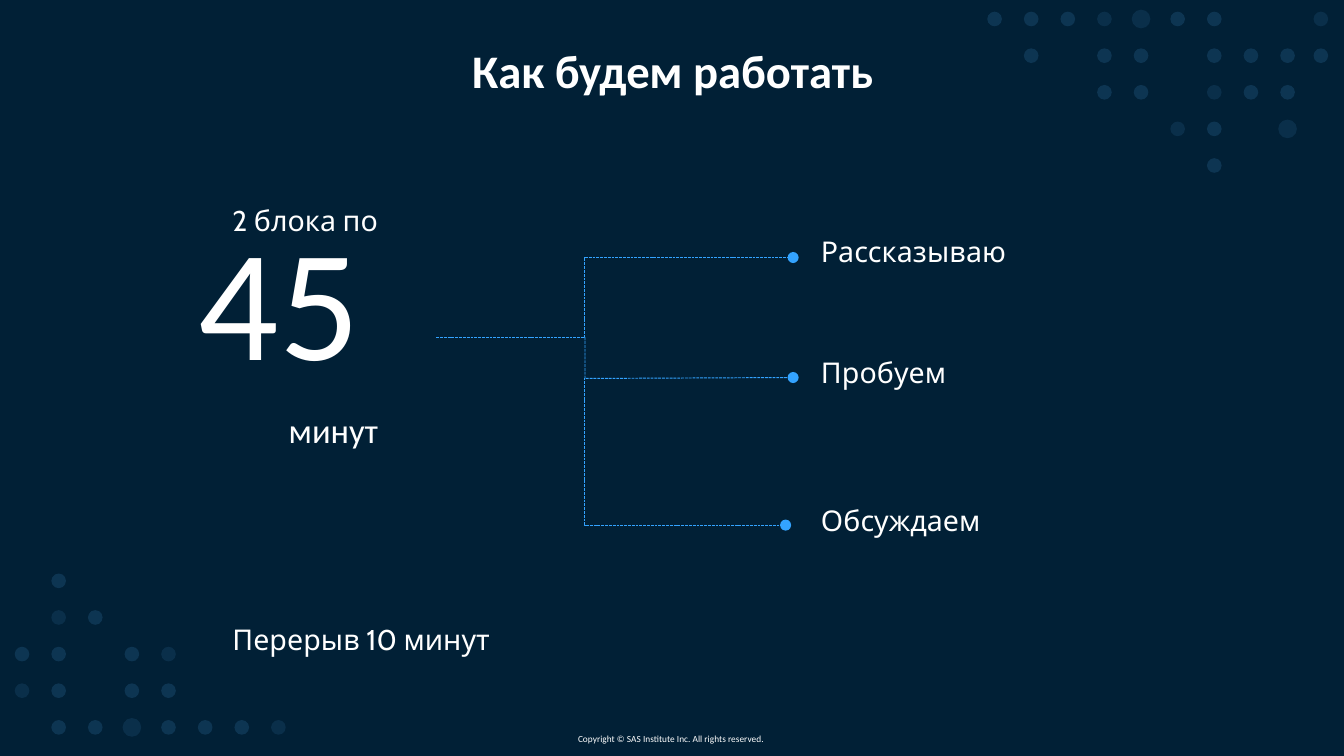
from dataclasses import dataclass

from lxml.etree import SubElement
from pptx import Presentation
from pptx.dml.color import RGBColor
from pptx.enum.dml import MSO_LINE
from pptx.enum.shapes import MSO_SHAPE
from pptx.enum.text import MSO_ANCHOR, PP_ALIGN
from pptx.oxml.ns import qn
from pptx.slide import Slide
from pptx.util import Pt


@dataclass(frozen=True)
class Theme:
    background: RGBColor = RGBColor(0x01, 0x20, 0x36)
    text: RGBColor = RGBColor(0xFF, 0xFF, 0xFF)
    line: RGBColor = RGBColor(0x33, 0xA3, 0xFF)
    dot: RGBColor = RGBColor(0x5C, 0xB5, 0xFF)
    main_font: str = "Calibri"
    label_font: str = "Cabin"
    title_size: float = 25
    number_size: float = 85
    unit_size: float = 18.5
    label_size: float = 15.3
    copyright_size: float = 5


THEME = Theme()


@dataclass(frozen=True)
class DotField:
    """Dots on a grid; left and top are the centre of the first cell."""
    left: float
    top: float
    rows: tuple[str, ...]


@dataclass(frozen=True)
class Label:
    text: str
    left: float
    top: float
    width: float


DOT_STEP = 19.62
# Diameter in points and opacity in percent of each kind of dot
DOT_KINDS = {"o": (7.85, 14), ".": (7.85, 10), "O": (10, 10)}
DOT_FIELDS = (
    DotField(532.8, 10.2, ("ooo.Ooo", "-o-oo-ooo", "---oo-.oo", "-----.o-O", "------o")),
    DotField(707.6, 10.2, (".", "o")),
    DotField(11.8, 311.2, ("-o", "-.o", "oo-o.", ".o-oo", "-ooOooo.")),
)

LABEL_HEIGHT = 27
STEP_LEFT = 432.7
BLOCK_LEFT = 117.4
LABELS = (
    Label("2 блока по", BLOCK_LEFT, 107.3, 112.3),
    Label("Рассказываю", STEP_LEFT, 123.8, 118.8),
    Label("Пробуем", STEP_LEFT, 188.6, 87.1),
    Label("Обсуждаем", STEP_LEFT, 267.8, 107.3),
    Label("Перерыв 10 минут", BLOCK_LEFT, 331.9, 160.6),
)

TRUNK = 313.4
FORK = 180.8
BRANCHES = (
    ((233.7, FORK), (TRUNK, FORK), (TRUNK, 138), (424.9, 138)),
    ((TRUNK, FORK), (TRUNK, 202.8), (424.9, 202.3)),
    ((TRUNK, 202.3), (TRUNK, 281.3), (420.9, 281.3)),
)


def add_text(slide: Slide, text: str, left: float, top: float, width: float, height: float, *,
             size: float, font: str = THEME.main_font, bold: bool = False,
             align: PP_ALIGN = PP_ALIGN.LEFT, anchor: MSO_ANCHOR = MSO_ANCHOR.TOP,
             line_spacing: float = 0.9, space_after: float = 0) -> None:
    box = slide.shapes.add_textbox(Pt(left), Pt(top), Pt(width), Pt(height))
    frame = box.text_frame
    frame.word_wrap = True
    frame.vertical_anchor = anchor
    para = frame.paragraphs[0]
    para.alignment = align
    para.line_spacing = line_spacing
    para.space_after = Pt(space_after)
    span = para.add_run()
    span.text = text
    span.font.name = font
    span.font.size = Pt(size)
    span.font.bold = bold
    span.font.color.rgb = THEME.text


def add_dot(slide: Slide, center_x: float, center_y: float, diameter: float, opacity: int) -> None:
    dot = slide.shapes.add_shape(MSO_SHAPE.OVAL, Pt(center_x - diameter / 2),
                                 Pt(center_y - diameter / 2), Pt(diameter), Pt(diameter))
    dot.shadow.inherit = False
    dot.line.fill.background()
    dot.fill.solid()
    dot.fill.fore_color.rgb = THEME.dot
    color = dot.element.spPr.find(qn("a:solidFill")).find(qn("a:srgbClr"))
    SubElement(color, qn("a:alpha"), val=str(opacity * 1000))


def add_dot_field(slide: Slide, field: DotField) -> None:
    for row, kinds in enumerate(field.rows):
        for column, kind in enumerate(kinds):
            if kind in DOT_KINDS:
                add_dot(slide, field.left + column * DOT_STEP, field.top + row * DOT_STEP,
                        *DOT_KINDS[kind])


def add_branch(slide: Slide, points: tuple[tuple[float, float], ...]) -> None:
    """Draw a dashed open path that ends in a round dot."""
    start, *rest = [(Pt(x), Pt(y)) for x, y in points]
    builder = slide.shapes.build_freeform(*start)
    builder.add_line_segments(rest, close=False)
    branch = builder.convert_to_shape()
    branch.shadow.inherit = False
    branch.fill.background()
    branch.line.color.rgb = THEME.line
    branch.line.width = Pt(0.5)
    branch.line.dash_style = MSO_LINE.SQUARE_DOT
    SubElement(branch.element.spPr.find(qn("a:ln")), qn("a:tailEnd"), type="oval")


def main() -> None:
    deck = Presentation()
    deck.slide_width, deck.slide_height = Pt(720), Pt(405)
    page = deck.slides.add_slide(deck.slide_layouts[6])
    page.background.fill.solid()
    page.background.fill.fore_color.rgb = THEME.background

    add_text(page, "Copyright © SAS Institute Inc. All rights reserved.", 260.6, 388.8, 198, 13.7,
             size=THEME.copyright_size, align=PP_ALIGN.CENTER, anchor=MSO_ANCHOR.BOTTOM,
             line_spacing=1)
    for field in DOT_FIELDS:
        add_dot_field(page, field)

    add_text(page, "Как будем работать", 49.7, 21.6, 621.4, 36, size=THEME.title_size, bold=True,
             align=PP_ALIGN.CENTER, anchor=MSO_ANCHOR.MIDDLE)
    add_text(page, "45", 99.4, 115.9, 130.3, 115.2, size=THEME.number_size, space_after=18)
    add_text(page, "минут", 147.6, 218.2, 72.7, 34.6, size=THEME.unit_size, space_after=18)
    for points in BRANCHES:
        add_branch(page, points)
    for label in LABELS:
        add_text(page, label.text, label.left, label.top, label.width, LABEL_HEIGHT,
                 size=THEME.label_size, font=THEME.label_font, space_after=18)

    deck.save("out.pptx")


if __name__ == "__main__":
    main()
